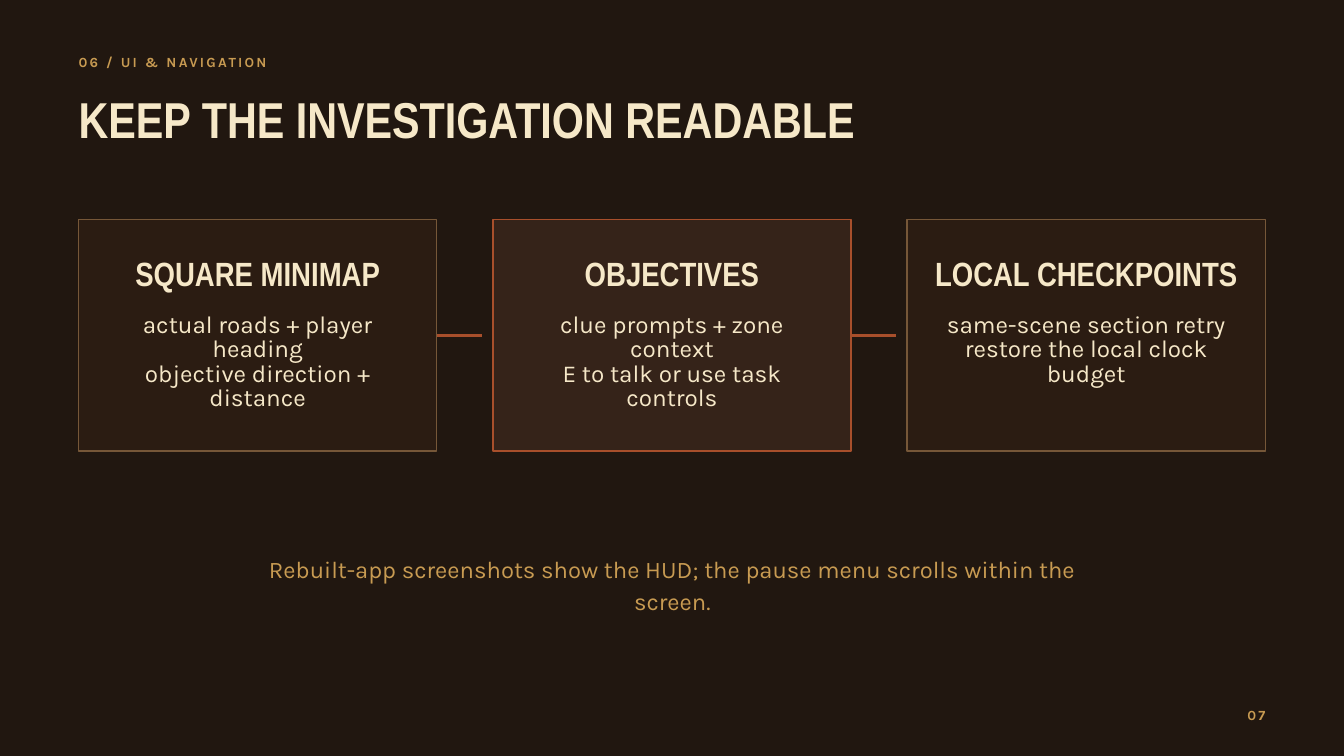
"""Build the UI and navigation slide with three linked cards."""
from pptx import Presentation
from pptx.dml.color import RGBColor
from pptx.enum.shapes import MSO_CONNECTOR, MSO_SHAPE
from pptx.enum.text import PP_ALIGN
from pptx.oxml.ns import qn
from pptx.util import Inches, Pt
from lxml import etree

RECTANGLE = MSO_SHAPE.RECTANGLE
STRAIGHT = MSO_CONNECTOR.STRAIGHT
LEFT, CENTER, RIGHT = PP_ALIGN.LEFT, PP_ALIGN.CENTER, PP_ALIGN.RIGHT

BACKGROUND = RGBColor(0x21, 0x17, 0x10)
CREAM = RGBColor(0xF6, 0xE8, 0xC8)
GOLD = RGBColor(0xC8, 0x9B, 0x52)
RUST = RGBColor(0xA8, 0x4F, 0x2B)
BRONZE = RGBColor(0x76, 0x57, 0x38)
CARD_FILL = RGBColor(0x2B, 0x1C, 0x12)
FOCUS_FILL = RGBColor(0x35, 0x23, 0x19)

HEADING_FONT, BODY_FONT = "Arial Narrow", "Karla"

SECTION = "06 / UI & NAVIGATION"
TITLE = "KEEP THE INVESTIGATION READABLE"
CARDS = [
    ("SQUARE MINIMAP",
     ["actual roads + player heading", "objective direction + distance"],
     CARD_FILL, BRONZE),
    ("OBJECTIVES",
     ["clue prompts + zone context", "E to talk or use task controls"],
     FOCUS_FILL, RUST),
    ("LOCAL CHECKPOINTS",
     ["same-scene section retry", "restore the local clock budget"],
     CARD_FILL, BRONZE),
]
FOOTNOTE = "Rebuilt-app screenshots show the HUD; the pause menu scrolls within the screen."
PAGE_NUMBER = "07"

PAGE_WIDTH, PAGE_HEIGHT = 20, 11.25
MARGIN = 1.17
CARD_TOP, CARD_WIDTH, CARD_HEIGHT = 3.27, 5.33, 3.44
CARD_STEP = (PAGE_WIDTH - 2 * MARGIN - CARD_WIDTH) / (len(CARDS) - 1)
TEXT_WIDTH = 4.58
TEXT_INSET = (CARD_WIDTH - TEXT_WIDTH) / 2
LINK_LENGTH = 0.67


def add_text(page, lines, left, top, width, height, *, size, leading, color=CREAM,
             font=BODY_FONT, bold=False, align=LEFT, tracking=None):
    """Add a text box with one paragraph for each line."""
    box = page.shapes.add_textbox(Inches(left), Inches(top), Inches(width), Inches(height))
    frame = box.text_frame
    frame.word_wrap = True
    frame.margin_left = frame.margin_right = frame.margin_top = frame.margin_bottom = 0
    for index, line in enumerate(lines):
        para = frame.add_paragraph() if index else frame.paragraphs[0]
        para.alignment = align
        para.line_spacing = Pt(leading)
        span = para.add_run()
        span.text = line
        span.font.name = font
        span.font.size = Pt(size)
        span.font.bold = bold
        span.font.color.rgb = color
        if tracking:
            span.font._element.set("spc", str(round(tracking * 100)))


def add_card(page, left, fill, outline):
    """Add a bordered card."""
    card = page.shapes.add_shape(RECTANGLE, Inches(left), Inches(CARD_TOP),
                                 Inches(CARD_WIDTH), Inches(CARD_HEIGHT))
    card.shadow.inherit = False
    card.fill.solid()
    card.fill.fore_color.rgb = fill
    card.line.color.rgb = outline
    card.line.width = Pt(1.5)


def add_link(page, left):
    """Add a short line from the right edge of a card."""
    middle = Inches(CARD_TOP + CARD_HEIGHT / 2)
    link = page.shapes.add_connector(STRAIGHT, Inches(left), middle,
                                     Inches(left + LINK_LENGTH), middle)
    link.line.color.rgb = RUST
    link.line.width = Pt(3)
    etree.SubElement(link._element.spPr, qn("a:effectLst"))


def main():
    """Build and save the deck."""
    deck = Presentation()
    deck.slide_width, deck.slide_height = Inches(PAGE_WIDTH), Inches(PAGE_HEIGHT)
    page = deck.slides.add_slide(deck.slide_layouts[6])
    page.background.fill.solid()
    page.background.fill.fore_color.rgb = BACKGROUND

    label = dict(size=15, leading=21, color=GOLD, bold=True, tracking=2.4)
    heading = dict(font=HEADING_FONT, bold=True)

    add_text(page, [SECTION], MARGIN, 0.76, 5.42, 0.28, **label)
    add_text(page, [TITLE], MARGIN, 1.45, 13.75, 0.8, size=54, leading=55.1, **heading)

    for index, (name, lines, fill, outline) in enumerate(CARDS):
        left = MARGIN + index * CARD_STEP
        add_card(page, left, fill, outline)
        if index < len(CARDS) - 1:
            add_link(page, left + CARD_WIDTH)
        add_text(page, [name], left + TEXT_INSET, 3.86, TEXT_WIDTH, 0.53,
                 size=36, leading=36.7, align=CENTER, **heading)
        add_text(page, lines, left + TEXT_INSET, 4.67, TEXT_WIDTH, 0.71,
                 size=26, leading=26.1, align=CENTER)

    add_text(page, [FOOTNOTE], 3.65, 8.2, 12.71, 0.45,
             size=25.5, leading=34.2, color=GOLD, align=CENTER)
    add_text(page, [PAGE_NUMBER], PAGE_WIDTH - MARGIN - 0.5, 10.47, 0.5, 0.28,
             align=RIGHT, **label)
    deck.save("out.pptx")


if __name__ == "__main__":
    main()
